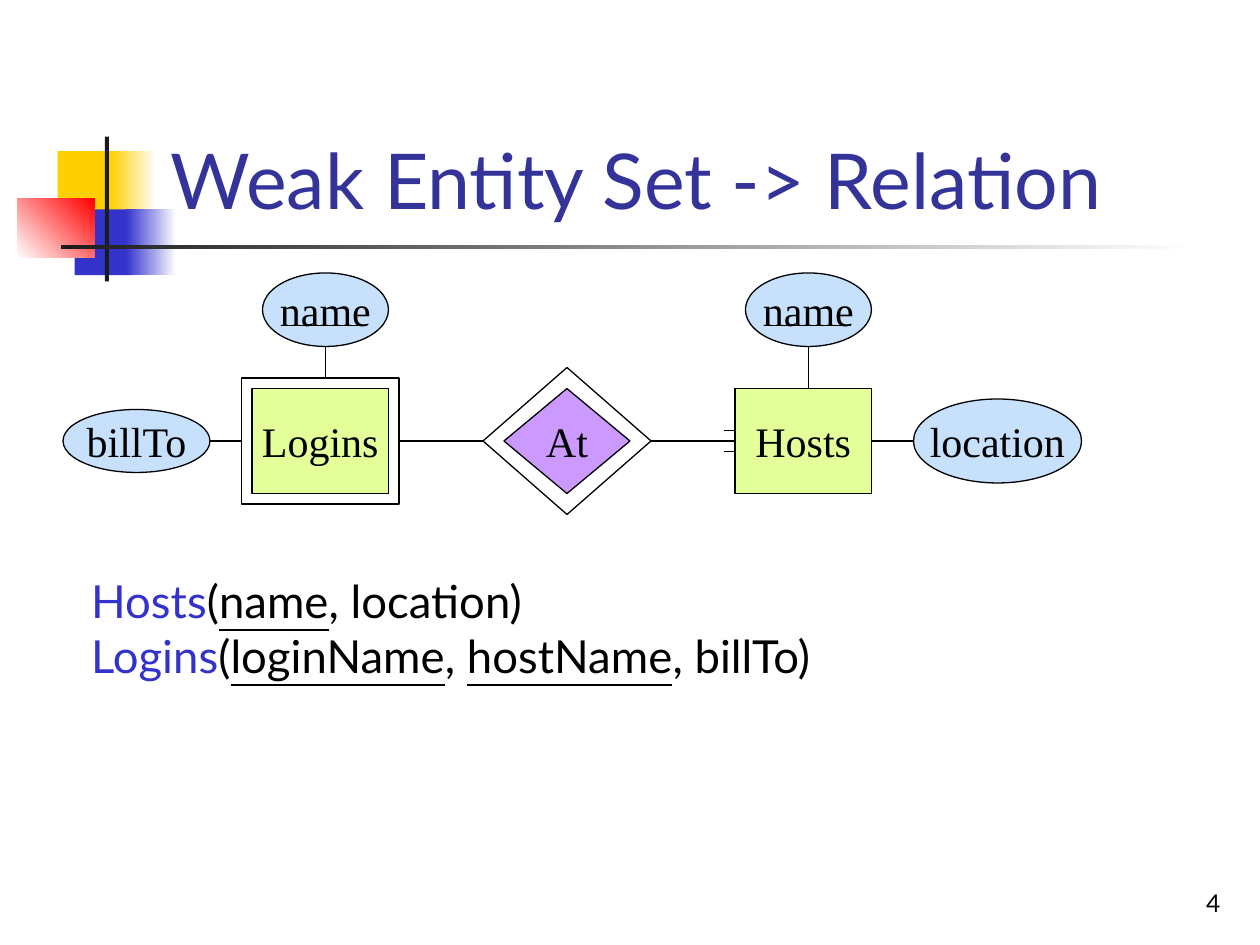
from pptx import Presentation, util as u
from pptx.dml.color import RGBColor
from pptx.enum import shapes, text
from pptx.oxml.ns import qn
from lxml import etree

COLS, ROWS = 120, 90
C = {"yellow": "FFCF01", "blue": "3333CC", "red": "FF0000", "white": "FFFFFF",
     "dark": "1C1C1C", "title": "333399", "black": "000000",
     "entity": "E4FF99", "relation": "CC99FF", "attribute": "C7E1FD"}
rgb = {name: RGBColor.from_string(value) for name, value in C.items()}
kind = shapes.MSO_SHAPE

prs = Presentation()
prs.slide_width, prs.slide_height = u.Inches(10), u.Inches(7.5)
s = prs.slides.add_slide(prs.slide_layouts[6])
cell = prs.slide_width // COLS


def add_box(shape, grid, fill=None, line=None):
    sp = s.shapes.add_shape(shape, *[round(n * cell) for n in grid])
    sp.shadow.inherit = False
    if fill is None:
        sp.fill.background()
    elif isinstance(fill, tuple):
        sp.fill.gradient()
        sp.fill.gradient_angle = fill[2]
        for stop, color in zip(sp.fill.gradient_stops, fill):
            stop.color.rgb = rgb[color]
    else:
        sp.fill.solid()
        sp.fill.fore_color.rgb = rgb[fill]
    if line:
        sp.line.color.rgb = rgb[line]
        sp.line.width = u.Pt(0.75)
    else:
        sp.line.fill.background()
    return sp


def write(sp, paragraphs, font, size, align, frame):
    tf = sp.text_frame
    for key, value in frame.items():
        setattr(tf, key, value)
    for i, runs in enumerate(paragraphs):
        p = tf.add_paragraph() if i else tf.paragraphs[0]
        p.alignment = align
        for words, color, underline in runs:
            r = p.add_run()
            r.text = words
            r.font.color.rgb = rgb[color]
            look = {"name": font, "size": u.Pt(size), "underline": underline or None}
            for key, value in look.items():
                setattr(r.font, key, value)


decoration = [
    ((5.5, 14.4, 5.8, 6.2), "yellow"),
    ((10.55, 14.4, 4.3, 6.2), ("yellow", "white", 0)),
    ((7.1, 19.95, 5.5, 6.25), "blue"),
    ((12, 19.95, 4.8, 6.25), ("blue", "white", 0)),
    ((1.65, 18.95, 7.35, 5.55), ("white", "red", 45)),
    ((9.98, 13, 0.4, 13.8), "dark"),
    ((5.8, 23.35, 108, 0.4), ("dark", "white", 0)),
]
for grid, fill in decoration:
    add_box(kind.RECTANGLE, grid, fill)

align = text.PP_ALIGN
bottom = {"word_wrap": True, "vertical_anchor": text.MSO_ANCHOR.BOTTOM}
fit = {"word_wrap": False, "auto_size": text.MSO_AUTO_SIZE.SHAPE_TO_FIT_TEXT}
schemas = [
    [("Hosts", "blue", False), ("(", "black", False), ("name", "black", True),
     (", location)", "black", False)],
    [("Logins", "blue", False), ("(", "black", False), ("loginName", "black", True),
     (", ", "black", False), ("hostName", "black", True), (", billTo)", "black", False)],
]
boxes = [
    ((92.4, 82, 25, 6), [[("4", "black", False)]], 14, align.RIGHT, bottom),
    ((15.1, 2.8, 102.2, 19.2), [[("Weak Entity Set -> Relation", "title", False)]],
     44, align.LEFT, bottom),
    ((7.5, 54, 77.8, 11.7), schemas, 26, align.LEFT, fit),
]
for grid, paragraphs, size, side, frame in boxes:
    sp = s.shapes.add_textbox(*[round(n * cell) for n in grid])
    write(sp, paragraphs, "Lato", size, side, frame)

for shape, grid in [(kind.RECTANGLE, (23, 36, 15, 12)), (kind.DIAMOND, (46, 35, 16, 14))]:
    add_box(shape, grid, line="black")

nodes = [
    ("Logins", kind.RECTANGLE, (24, 37, 13, 10), "entity"),
    ("Hosts", kind.RECTANGLE, (70, 37, 13, 10), "entity"),
    ("At", kind.DIAMOND, (48, 37, 12, 10), "relation"),
    ("name", kind.OVAL, (25, 26, 12, 7), "attribute"),
    ("name", kind.OVAL, (71, 26, 12, 7), "attribute"),
    ("billTo", kind.OVAL, (6, 39, 14, 6), "attribute"),
    ("location", kind.OVAL, (87, 38, 16, 8), "attribute"),
]
middle = {"word_wrap": False, "vertical_anchor": text.MSO_ANCHOR.MIDDLE}
for label, shape, grid, fill in nodes:
    sp = add_box(shape, grid, fill, "black")
    write(sp, [[(label, "black", False)]], "Times New Roman", 24, align.CENTER, middle)

links = [(27, 31, 35, 31), (73, 31, 81, 31), (31, 33, 31, 36), (77, 33, 77, 37),
         (46, 42, 38, 42), (62, 42, 70, 42), (20, 42, 23, 42), (87, 42, 83, 42)]
for link in links:
    ln = s.shapes.add_connector(shapes.MSO_CONNECTOR.STRAIGHT, *[n * cell for n in link])
    ln.line.color.rgb = rgb["black"]
    ln.line.width = u.Pt(0.75)
    etree.SubElement(ln._element.spPr, qn("a:effectLst"))

curve = [(70 - t * t, 42 + t) for t in [n / 8 for n in range(-8, 9)]]
fb = s.shapes.build_freeform(*curve[0], scale=cell)
fb.add_line_segments(curve[1:], close=False)
sp = fb.convert_to_shape()
sp.shadow.inherit = False
sp.fill.background()
sp.line.color.rgb = rgb["black"]
sp.line.width = u.Pt(0.75)

prs.save("out.pptx")
